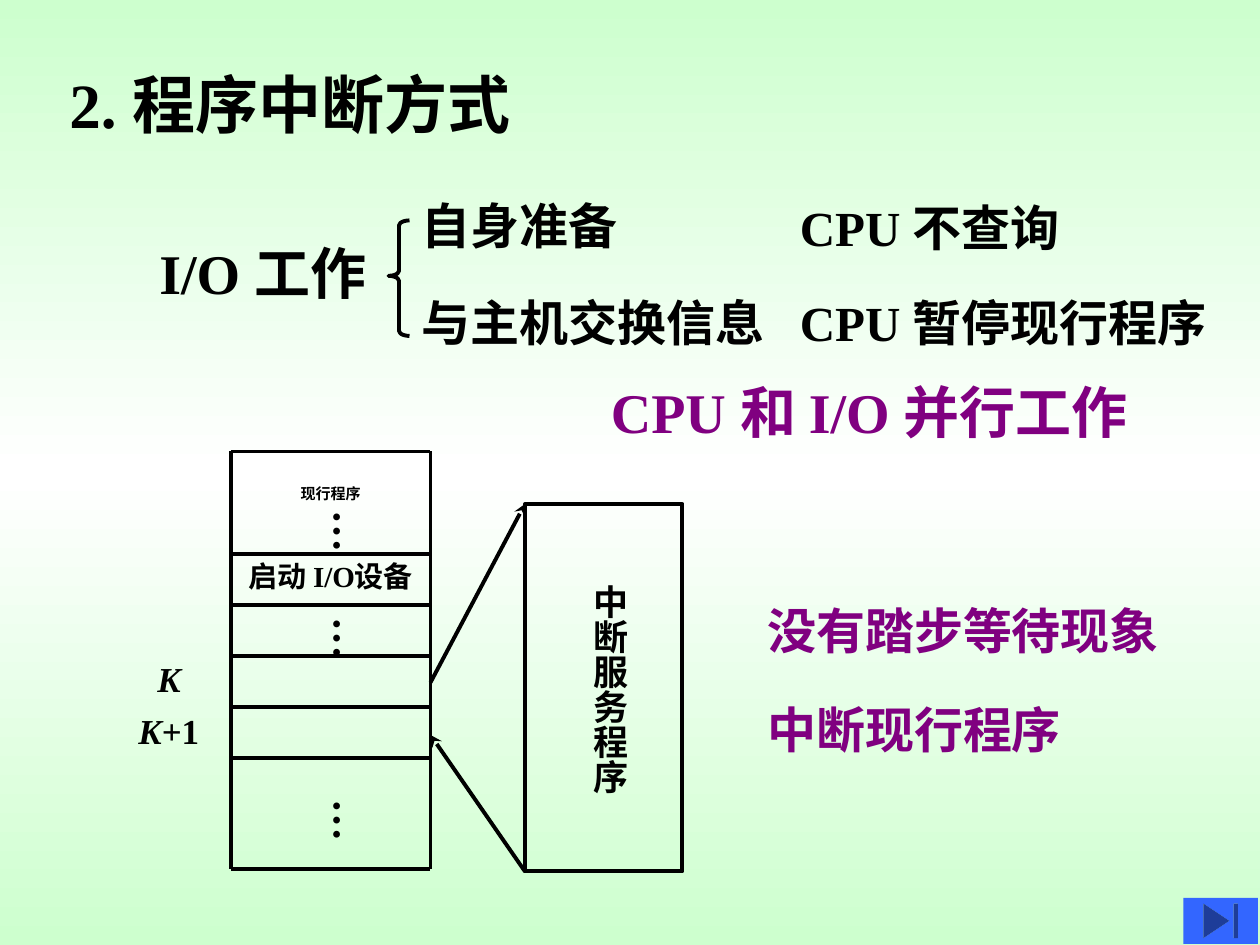
from copy import deepcopy

from lxml import etree
from pptx import Presentation
from pptx import util as u
from pptx.dml.color import RGBColor
from pptx.enum import shapes, text
from pptx.oxml.ns import qn

COLORS = {"ink": "000000", "accent": "800080", "edge": "CDFFCE",
          "middle": "FFFFFF", "button": "3366FF"}
FONT = "Times New Roman"
COLUMNS, ROWS = 120, 90  # cells of 1/12 inch
POINTS_PER_CELL = 6


def rgb(name):
    return RGBColor.from_string(COLORS[name])


def write(frame, content, size=20, color="ink", italic=False, align=None,
          wrap=False, anchor="TOP", insets=(0.1, 0.05)):
    """Fill a frame with one paragraph; content is a string or (text, italic) runs."""
    frame.word_wrap = wrap
    frame.auto_size = text.MSO_AUTO_SIZE.NONE
    frame.vertical_anchor = getattr(text.MSO_ANCHOR, anchor)
    frame.margin_left = frame.margin_right = u.Inches(insets[0])
    frame.margin_top = frame.margin_bottom = u.Inches(insets[1])
    paragraph = frame.paragraphs[0]
    paragraph.alignment = align or text.PP_ALIGN.LEFT
    runs = [(content, italic)] if isinstance(content, str) else content
    for words, slanted in runs:
        run = paragraph.add_run()
        run.text = words
        font = run.font
        font.name, font.size = FONT, u.Pt(size)
        font.bold, font.italic = True, slanted
        font.color.rgb = rgb(color)


class SlideBuilder:
    def __init__(self, deck, line_width=2.25):
        self.cell_x = deck.slide_width / COLUMNS
        self.cell_y = deck.slide_height / ROWS
        self.line_width = u.Pt(line_width)
        self.slide = deck.slides.add_slide(deck.slide_layouts[5])

    def place(self, x, y, w, h):
        return (round(x * self.cell_x), round(y * self.cell_y),
                round(w * self.cell_x), round(h * self.cell_y))

    def background(self):
        fill = self.slide.background.fill
        fill.gradient()
        fill.gradient_angle = 90
        stop_list = next(self.slide.element.iter(qn("a:gsLst")))
        stop_list.append(deepcopy(stop_list[-1]))
        for stop, share, name in zip(fill.gradient_stops, (0, 0.5, 1),
                                     ("edge", "middle", "edge")):
            stop.position = share
            stop.color.rgb = rgb(name)

    def line_height(self, size):
        return (1.2 * size + 7.2) / POINTS_PER_CELL

    def title(self, content, x, y, w, size):
        title = self.slide.shapes.title
        title.left, title.top, title.width, title.height = self.place(
            x, y, w, self.line_height(size))
        write(title.text_frame, content, size=size)

    def label(self, content, x, y, w, h=None, size=20, vertical=False, **style):
        h = h or self.line_height(size)
        box = self.slide.shapes.add_textbox(*self.place(x, y, w, h))
        write(box.text_frame, content, size=size, **style)
        if vertical:
            next(box.element.iter(qn("a:bodyPr"))).set("vert", "eaVert")

    def shape(self, kind, x, y, w, h, fill=None, adjustments=()):
        shape = self.slide.shapes.add_shape(kind, *self.place(x, y, w, h))
        shape.shadow.inherit = False
        if fill:
            shape.fill.solid()
            shape.fill.fore_color.rgb = rgb(fill)
            shape.line.fill.background()
        else:
            shape.fill.background()
            shape.line.color.rgb = rgb("ink")
            shape.line.width = self.line_width
        for index, value in enumerate(adjustments):
            shape.adjustments[index] = value

    def line(self, x1, y1, x2, y2, arrow=False):
        ends = self.place(x1, y1, x2, y2)
        line = self.slide.shapes.add_connector(shapes.MSO_CONNECTOR.STRAIGHT, *ends)
        line.line.color.rgb = rgb("ink")
        line.line.width = self.line_width
        properties = line.element.spPr
        if arrow:
            etree.SubElement(properties.find(qn("a:ln")), qn("a:tailEnd"), type="stealth")
        etree.SubElement(properties, qn("a:effectLst"))


def main():
    deck = Presentation()
    deck.slide_width, deck.slide_height = u.Inches(10), u.Inches(7.5)
    page = SlideBuilder(deck)
    page.background()
    page.title("2. 程序中断方式", 5.4, 5.6, 60, 36)

    # I/O work split into two phases, each with what the CPU does
    page.label("I/O 工作", 14, 22.1, 27, size=32)
    page.shape(shapes.MSO_SHAPE.LEFT_BRACE, 37, 21, 2, 11, adjustments=(0.24, 0.48))
    phases = [("自身准备", 18, "CPU 不查询", 18.25),
              ("与主机交换信息", 27.25, "CPU 暂停现行程序", 27.25)]
    for phase, phase_top, action, action_top in phases:
        page.label(phase, 39, phase_top, 43, size=28)
        page.label(action, 75, action_top, 50, size=28)
    page.label("CPU 和 I/O 并行工作", 57, 35.4, 55.4, size=32, color="accent")

    # Running program in memory
    left, right, top, bottom = 22, 41, 43, 82.8
    first, step = 52.8, 4.84
    for y in [top, *(first + step * i for i in range(5)), bottom]:
        page.line(left, y, right, y)
    for x in (left, right):
        page.line(x, top, x, bottom)
    centred = dict(align=text.PP_ALIGN.CENTER, anchor="MIDDLE", insets=(0, 0), wrap=True)
    page.label("现行程序", left, 45.5, right - left, 3, size=8.6, **centred)
    page.label("启动 I/O设备", left, first - 0.4, right - left, step, size=16.6, **centred)
    upright = dict(vertical=True, insets=(0.05, 0.05))
    for y in (47.4, 57.6, 75):
        page.label("…", 29.2, y, 7.2, 5.3, size=24, **upright)
    page.label("K", 13.8, 62, 4.6, italic=True)
    page.label([("K", True), ("+1", False)], 12, 67, 8.2)

    # Interrupt service routine, entered after K and left to K+1
    page.shape(shapes.MSO_SHAPE.RECTANGLE, 50, 48, 15, 35)
    page.label("中断服务程序", 54.3, 54.5, 6.4, 21.2, **upright)
    page.line(right, 65, 50, 48, arrow=True)
    page.line(50, 83, right, 70, arrow=True)

    # Conclusions
    page.label("没有踏步等待现象", 71.9, 56.6, 39.6, size=28, color="accent")
    page.label("中断现行程序", 71.9, 66, 30.4, size=28, color="accent")

    # Button to the end of the show
    page.shape(shapes.MSO_SHAPE.ACTION_BUTTON_END, 112.7, 85.5, 7.1, 4.4, fill="button")

    deck.save("out.pptx")


if __name__ == "__main__":
    main()
